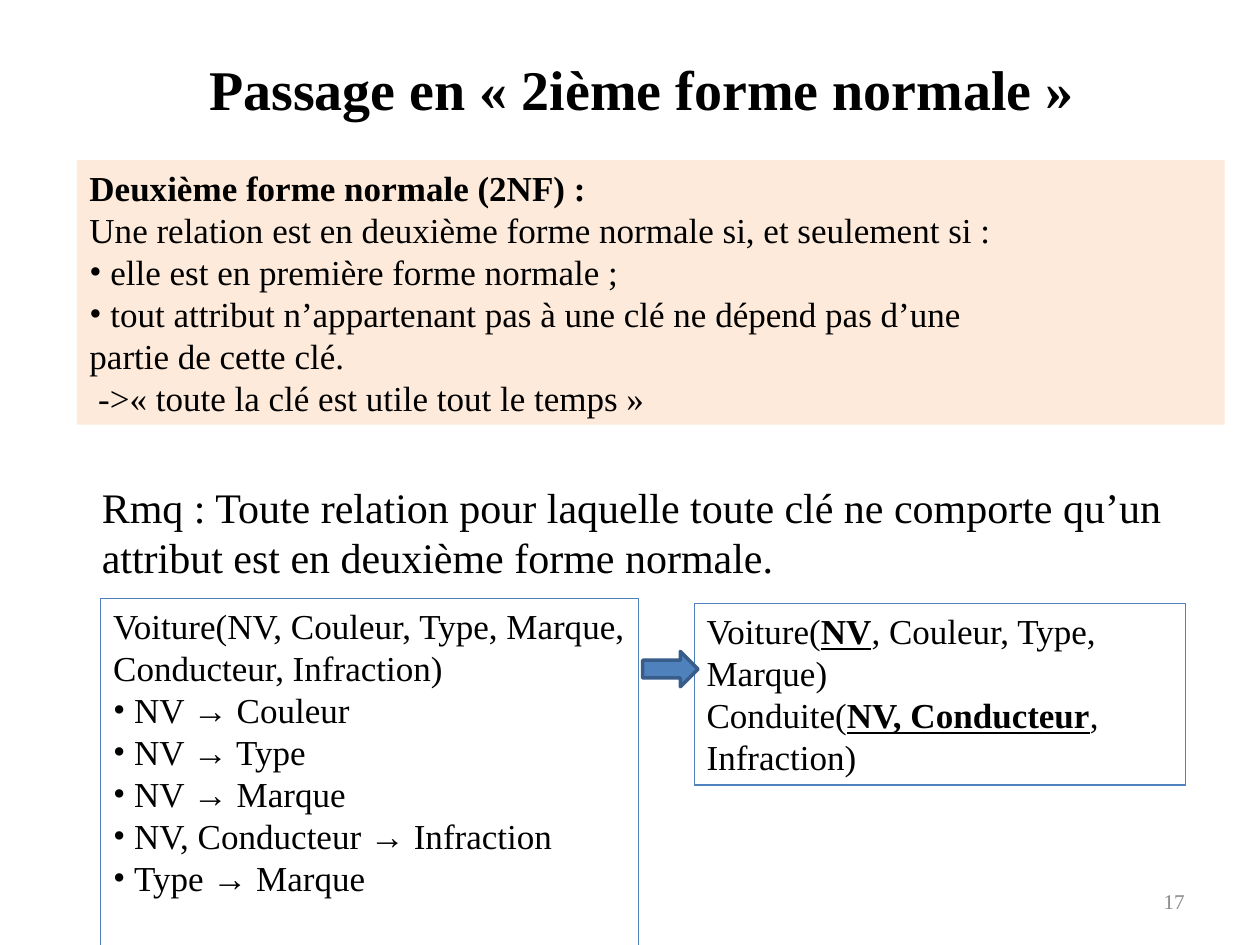
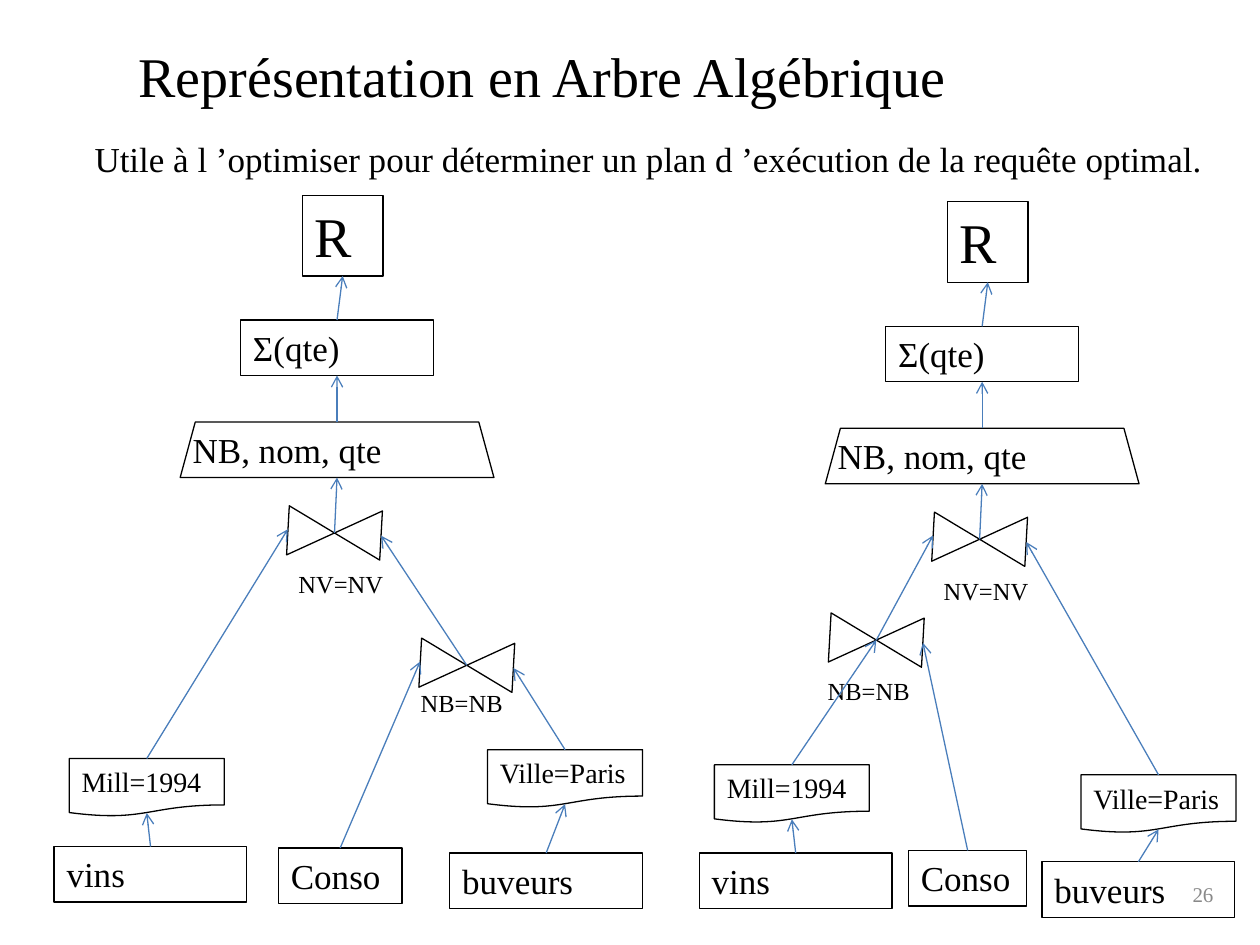
from dataclasses import dataclass
from typing import NamedTuple, Optional

from lxml.etree import SubElement
from pptx import Presentation
from pptx.dml.color import RGBColor
from pptx.enum.shapes import MSO_CONNECTOR as Connector, MSO_SHAPE as Preset
from pptx.enum.text import MSO_ANCHOR as Anchor, MSO_AUTO_SIZE as AutoSize, PP_ALIGN as Align
from pptx.oxml.ns import qn
from pptx.util import Inches, Pt

# Shared look: a grid of 100 columns by 75 rows covers the slide
WIDTH, HEIGHT = Inches(10), Inches(7.5)
COLUMN, ROW = WIDTH / 100, HEIGHT / 75
FONT = "Times New Roman"
COLORS = {"ink": "000000", "paper": "FFFFFF", "peach": "FDEADA", "blue": "4F81BD",
          "navy": "385D8A", "link": "4A7EBB", "grey": "898989"}
FRAME_FORMAT = {"word_wrap": True, "auto_size": AutoSize.NONE,
                "margin_left": Inches(0.1), "margin_right": Inches(0.1),
                "margin_top": Inches(0.05), "margin_bottom": Inches(0.05)}
BULLET_INDENT = Pt(12)


class Box(NamedTuple):
    left: float
    top: float
    width: float
    height: float

    def moved(self, right: float, down: float) -> "Box":
        return self._replace(left=self.left + right, top=self.top + down)

    def emu(self) -> tuple:
        return (round(self.left * COLUMN), round(self.top * ROW),
                round(self.width * COLUMN), round(self.height * ROW))


class Run(NamedTuple):
    text: str
    bold: bool = False
    underline: bool = False


@dataclass
class Line:
    runs: tuple
    bullet: bool = False
    indent: int = 0


def plain(text: str, **options) -> Line:
    return Line((Run(text),), **options)


def key(text: str) -> Run:
    return Run(text, bold=True, underline=True)


def color(name: str) -> RGBColor:
    return RGBColor.from_string(COLORS[name])


def apply(target, values: dict) -> None:
    for attribute, value in values.items():
        setattr(target, attribute, value)


# Text
def write(shape, lines: list, size: float, ink: str = "ink",
          align=Align.LEFT, anchor=Anchor.TOP) -> None:
    frame = shape.text_frame
    apply(frame, {**FRAME_FORMAT, "vertical_anchor": anchor})
    for index, line in enumerate(lines):
        paragraph = frame.paragraphs[0] if index == 0 else frame.add_paragraph()
        apply(paragraph, {"alignment": align, "space_before": Pt(0)})
        properties = paragraph._p.get_or_add_pPr()
        hanging = BULLET_INDENT if line.bullet else 0
        properties.set("marL", str(line.indent + hanging))
        properties.set("indent", str(-hanging))
        if line.bullet:
            SubElement(properties, qn("a:buFont"), typeface=FONT)
            SubElement(properties, qn("a:buChar"), char="•")
        else:
            SubElement(properties, qn("a:buNone"))
        for part in line.runs:
            run = paragraph.add_run()
            run.text = part.text
            apply(run.font, {"name": FONT, "size": Pt(size), "bold": part.bold,
                             "underline": part.underline})
            run.font.color.rgb = color(ink)


def place(shape, box: Box) -> None:
    apply(shape, dict(zip(("left", "top", "width", "height"), box.emu())))


def add_text(slide, box: Box, lines: list, size: float, **options) -> None:
    write(slide.shapes.add_textbox(*box.emu()), lines, size, **options)


def start_slide(deck, title: Line, title_box: Box, title_align, number: str, number_box: Box):
    slide = deck.slides.add_slide(deck.slide_layouts[1])
    place(slide.shapes.title, title_box)
    write(slide.shapes.title, [title], 32, align=title_align)
    add_text(slide, number_box, [plain(number)], 12, ink="grey",
             align=Align.RIGHT, anchor=Anchor.MIDDLE)
    return slide


def fill_body(slide, box: Box, lines: list, size: float):
    body = slide.placeholders[1]
    place(body, box)
    write(body, lines, size)
    return body


# Shapes
def finish(shape, line: str, weight: float = 0.75, fill: Optional[str] = None) -> None:
    shape.shadow.inherit = False
    if fill:
        shape.fill.solid()
        shape.fill.fore_color.rgb = color(fill)
    else:
        shape.fill.background()
    shape.line.color.rgb = color(line)
    shape.line.width = Pt(weight)


def add_preset(slide, preset, box: Box, line: str, **options):
    shape = slide.shapes.add_shape(preset, *box.emu())
    finish(shape, line, **options)
    return shape


def add_trapezoid(slide, box: Box):
    left, top, width, height = box.emu()
    slant = round(1.2 * COLUMN)
    builder = slide.shapes.build_freeform(left, top + height)
    builder.add_line_segments([(left + slant, top), (left + width - slant, top),
                               (left + width, top + height)], close=True)
    shape = builder.convert_to_shape()
    finish(shape, "ink")
    return shape


# Algebraic trees
class Node(NamedTuple):
    box: Box
    text: str = ""
    size: float = 20
    preset: Optional[Preset] = Preset.RECTANGLE
    line: str = "ink"


class Link(NamedTuple):
    start: str
    end: str
    leave: str = "top"
    enter: str = "bottom"


class Tree(NamedTuple):
    right: float
    down: float
    nodes: dict
    links: list


# Ports as shares of a node's box; a join lies on its side, so its ends fall outside
PORTS = {"top": (0.5, 0), "bottom": (0.5, 1), "wave": (0.5, 0.94),
         "center": (0.5, 0.5), "west": (-0.45, 0.46), "east": (1.45, 0.53)}
SITES = {"top": 0, "bottom": 2}


def relation(left: float, top: float, text: str, width: float = 15.3) -> Node:
    return Node(Box(left, top, width, 4.4), text)


def selection(left: float, top: float, text: str) -> Node:
    return Node(Box(left, top, 12.3, 4.6), text, 16, Preset.FLOWCHART_DOCUMENT)


def join(left: float, top: float) -> Node:
    return Node(Box(left, top, 3.9, 7.4), preset=Preset.FLOWCHART_COLLATE)


def condition(left: float, top: float, width: float, text: str) -> Node:
    return Node(Box(left, top, width, 3.4), text, 14, line="paper")


TRUNK = {
    "condition NV": condition(22.7, 44.7, 8.9, "NV=NV"),
    "result": Node(Box(24, 15.5, 6.4, 6.4), "R", 32),
    "sum": relation(19.1, 25.4, "Ʃ(qte)"),
    "projection": Node(Box(14.3, 33.5, 24.9, 4.4), "NB, nom, qte", preset=None),
    "join NV": join(24.6, 38.6),
    "year": selection(5.5, 60.2, "Mill=1994"),
    "vins": relation(4.3, 67.2, "vins"),
}
TRUNK_LINKS = [
    Link("sum", "result"),
    Link("projection", "sum"),
    Link("join NV", "projection", leave="center"),
    Link("vins", "year", enter="wave"),
    Link("buveurs", "city", enter="wave"),
]
TREES = [
    Tree(0, 0, {
        "condition NB": condition(32.4, 54.1, 12.1, "NB=NB"),
        "join NB": join(35.1, 49.1),
        "city": selection(38.7, 59.5, "Ville=Paris"),
        "buveurs": relation(35.7, 67.7, "buveurs"),
        "conso": relation(22.1, 67.3, "Conso", 9.8),
    }, [
        Link("join NB", "join NV", leave="center", enter="east"),
        Link("year", "join NV", enter="west"),
        Link("city", "join NB", enter="east"),
        Link("conso", "join NB", enter="west"),
    ]),
    Tree(51.2, 0.5, {
        "condition NB": condition(13.5, 52.7, 12.1, "NB=NB"),
        "join NB": join(16.4, 46.6),
        "city": selection(34.6, 61, "Ville=Paris"),
        "buveurs": relation(31.5, 67.9, "buveurs"),
        "conso": relation(20.9, 67, "Conso", 9.4),
    }, [
        Link("join NB", "join NV", leave="center", enter="west"),
        Link("year", "join NB", enter="center"),
        Link("city", "join NV", enter="east"),
        Link("conso", "join NB", enter="east"),
    ]),
]


def add_node(slide, node: Node, box: Box):
    if node.preset is None:
        shape = add_trapezoid(slide, box)
    else:
        shape = add_preset(slide, node.preset, box, node.line)
    if node.preset == Preset.FLOWCHART_COLLATE:
        shape.rotation = 273.2
    if node.text:
        write(shape, [plain(node.text)], node.size)
    return shape


def port(shape, name: str) -> tuple:
    across, along = PORTS[name]
    return round(shape.left + across * shape.width), round(shape.top + along * shape.height)


def add_link(slide, link: Link, nodes: dict, shapes: dict) -> None:
    start, end = shapes[link.start], shapes[link.end]
    arrow = slide.shapes.add_connector(Connector.STRAIGHT, *port(start, link.leave),
                                       *port(end, link.enter))
    if nodes[link.start].preset and link.leave in SITES:
        arrow.begin_connect(start, SITES[link.leave])
    if nodes[link.end].preset and link.enter in SITES:
        arrow.end_connect(end, SITES[link.enter])
    arrow.line.color.rgb = color("link")
    arrow.line.width = Pt(0.75)
    SubElement(arrow.line._get_or_add_ln(), qn("a:tailEnd"), type="arrow")
    SubElement(arrow._element.spPr, qn("a:effectLst"))


def draw_tree(slide, tree: Tree) -> None:
    nodes = {**TRUNK, **tree.nodes}
    shapes = {name: add_node(slide, node, node.box.moved(tree.right, tree.down))
              for name, node in nodes.items()}
    for link in TRUNK_LINKS + tree.links:
        add_link(slide, link, nodes, shapes)


# Slides
def normal_form_slide(deck) -> None:
    slide = start_slide(deck, Line((Run("Passage en « 2ième forme normale »", bold=True),)),
                        Box(6.3, 3.8, 89.3, 6.4), Align.CENTER, "17", Box(71.7, 69.5, 23.3, 4))
    definition = fill_body(slide, Box(6.1, 12.7, 91.1, 21), [
        Line((Run("Deuxième forme normale (2NF) :", bold=True),)),
        plain("Une relation est en deuxième forme normale si, et seulement si :"),
        plain("elle est en première forme normale ;", bullet=True),
        plain("tout attribut n’appartenant pas à une clé ne dépend pas d’une", bullet=True),
        plain("partie de cette clé."),
        plain("->« toute la clé est utile tout le temps »", indent=Pt(5)),
    ], 20)
    definition.fill.solid()
    definition.fill.fore_color.rgb = color("peach")
    add_text(slide, Box(7.1, 37.7, 89, 9), [plain(
        "Rmq : Toute relation pour laquelle toute clé ne comporte qu’un "
        "attribut est en deuxième forme normale.")], 24)

    dependencies = ["NV → Couleur", "NV → Type", "NV → Marque",
                    "NV, Conducteur → Infraction", "Type → Marque"]
    before = [plain("Voiture(NV, Couleur, Type, Marque,"), plain("Conducteur, Infraction)"),
              *(plain(dependency, bullet=True) for dependency in dependencies)]
    after = [Line((Run("Voiture("), key("NV"), Run(", Couleur, Type, Marque)"))),
             Line((Run("Conduite("), key("NV, Conducteur"), Run(","))),
             plain("Infraction)")]
    for box, lines in ((Box(8, 47.5, 42.7, 27.7), before), (Box(55.1, 47.9, 39, 14.4), after)):
        write(add_preset(slide, Preset.RECTANGLE, box, "blue"), lines, 20)
    add_preset(slide, Preset.RIGHT_ARROW, Box(51, 51.7, 4.4, 2.8), "navy", weight=2, fill="blue")


def tree_slide(deck) -> None:
    slide = start_slide(deck, plain("Représentation en Arbre Algébrique"),
                        Box(10, 2.8, 77.8, 6.4), Align.LEFT, "26", Box(74, 69, 23.3, 4))
    fill_body(slide, Box(6.5, 10.4, 90.7, 4.4), [plain(
        "Utile à l ’optimiser pour déterminer un plan d ’exécution de la requête optimal.")], 20)
    for tree in TREES:
        draw_tree(slide, tree)


def main() -> None:
    deck = Presentation()
    apply(deck, {"slide_width": WIDTH, "slide_height": HEIGHT})
    normal_form_slide(deck)
    tree_slide(deck)
    deck.save("out.pptx")


if __name__ == "__main__":
    main()
